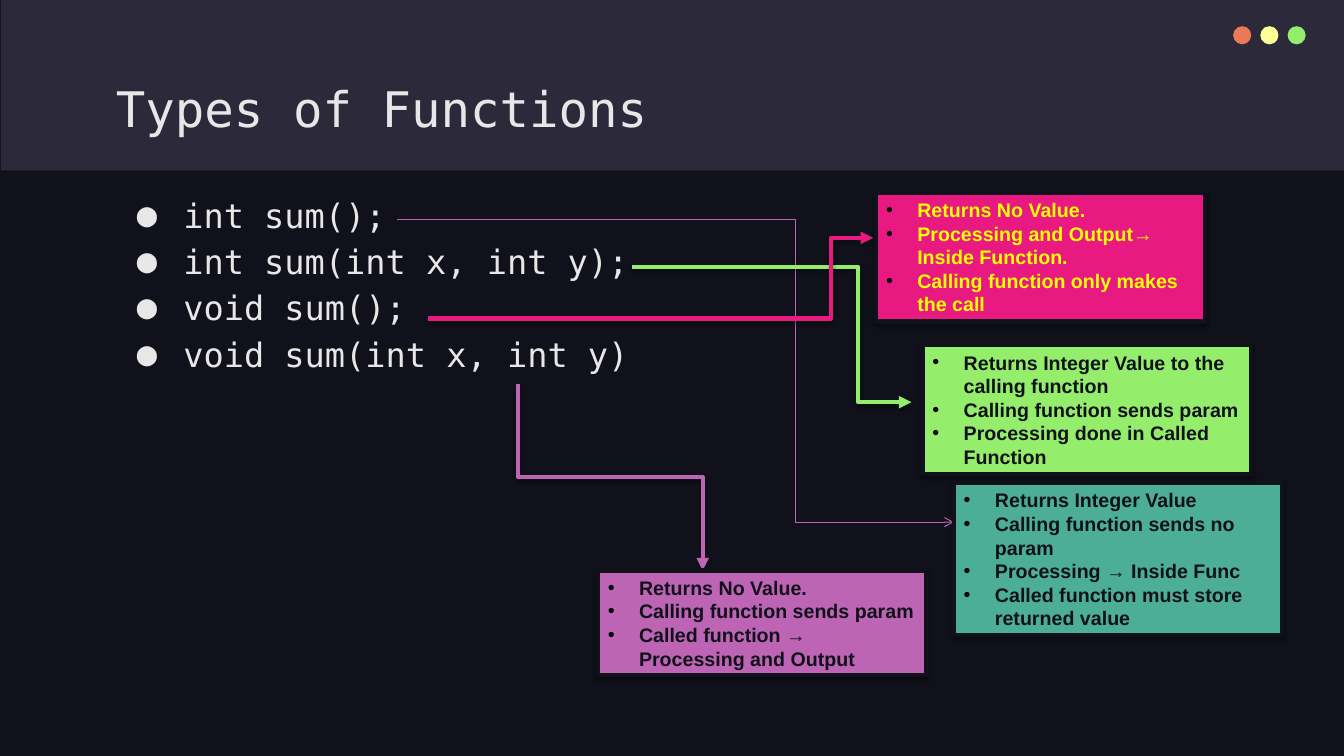
from dataclasses import dataclass

from lxml.etree import SubElement, _Element
from pptx import Presentation
from pptx.dml.color import RGBColor
from pptx.enum.shapes import MSO_CONNECTOR, MSO_SHAPE
from pptx.enum.text import MSO_ANCHOR, MSO_AUTO_SIZE, PP_ALIGN
from pptx.oxml.ns import qn
from pptx.shapes.autoshape import Shape
from pptx.slide import Slide
from pptx.text.text import TextFrame, _Paragraph
from pptx.util import Emu, Pt

EMU_PER_PX = 9144


@dataclass(frozen=True)
class Theme:
    background: str = "10111A"
    band: str = "2C293A"
    light: str = "E7E7E7"
    bullet: str = "000000"
    orange: str = "EC7955"
    cream: str = "FFFF99"
    green: str = "94EE6B"
    teal: str = "4CAE97"
    pink: str = "E81A81"
    purple: str = "BD64B5"
    yellow: str = "FFFF00"
    code_font: str = "DejaVu Sans Mono"
    note_font: str = "Arial"
    title_size: int = 35
    code_size: int = 24
    note_size: int = 14


THEME = Theme()


@dataclass(frozen=True)
class Box:
    left: int
    top: int
    width: int
    height: int

    def emu(self) -> tuple[Emu, Emu, Emu, Emu]:
        return px(self.left), px(self.top), px(self.width), px(self.height)


@dataclass(frozen=True)
class Note:
    box: Box
    fill: str
    lines: tuple[str, ...]
    color: str = THEME.background


@dataclass(frozen=True)
class Arrow:
    begin: tuple[int, int]
    end: tuple[int, int]
    color: str
    bend: float
    weight: float = 3
    head: str = "triangle"
    starts_down: bool = False
    shadow: bool = True


DOTS = (THEME.orange, THEME.cream, THEME.green)
PROTOTYPES = ("int sum();", "int sum(int x, int y);", "void sum();", "void sum(int x, int y)")
CALLOUTS = (
    (
        Arrow((394, 218), (946, 518), THEME.purple, 0.715, 0.75, "arrow", shadow=False),
        Note(Box(946, 479, 326, 151), THEME.teal, (
            "Returns Integer Value",
            "Calling function sends no param",
            "Processing → Inside Func",
            "Called function must store returned value",
        )),
    ),
    (
        Arrow((627, 265), (904, 399), THEME.green, 0.81),
        Note(Box(915, 342, 326, 128), THEME.green, (
            "Returns Integer Value to the calling function",
            "Calling function sends param",
            "Processing done in Called Function",
        )),
    ),
    (
        Arrow((424, 316), (866, 236), THEME.pink, 0.905),
        Note(Box(869, 191, 326, 128), THEME.pink, (
            "Returns No Value.",
            "Processing and Output→ Inside Function.",
            "Calling function only makes the call",
        ), THEME.yellow),
    ),
    (
        Arrow((514, 381), (697, 566), THEME.purple, 0.5, starts_down=True),
        Note(Box(593, 566, 326, 104), THEME.purple, (
            "Returns No Value.",
            "Calling function sends param",
            "Called function → Processing and Output",
        )),
    ),
)


def px(length: float) -> Emu:
    return Emu(round(length * EMU_PER_PX))


def rgb(color: str) -> RGBColor:
    return RGBColor.from_string(color)


def add_effects(properties: _Element, opacity: int) -> None:
    effects = SubElement(properties, qn("a:effectLst"))
    if opacity:
        shadow = SubElement(effects, qn("a:outerShdw"), blurRad=str(Pt(3.1)),
                            dist=str(Pt(1.7)), dir="5400000", rotWithShape="0")
        color = SubElement(shadow, qn("a:srgbClr"), val="000000")
        SubElement(color, qn("a:alpha"), val=str(opacity * 1000))


def style_paragraph(paragraph: _Paragraph, font: str, size: int, color: str, bold: bool = False) -> None:
    paragraph.alignment = PP_ALIGN.LEFT
    paragraph.font.name = font
    paragraph.font.size = Pt(size)
    paragraph.font.bold = bold
    paragraph.font.color.rgb = rgb(color)


def add_bullet(paragraph: _Paragraph, symbol: str, color: str, font: str, margin: int, hanging: int) -> None:
    properties = paragraph._p.get_or_add_pPr()
    properties.set("marL", str(px(margin)))
    properties.set("indent", str(-px(hanging)))
    SubElement(SubElement(properties, qn("a:buClr")), qn("a:srgbClr"), val=color)
    SubElement(properties, qn("a:buFont"), typeface=font)
    SubElement(properties, qn("a:buChar"), char=symbol)


def fill_lines(frame: TextFrame, lines: tuple[str, ...]) -> None:
    frame.word_wrap = True
    frame.text = "\n".join(lines)


def add_plain_shape(slide: Slide, kind: MSO_SHAPE, box: Box, color: str) -> Shape:
    shape = slide.shapes.add_shape(kind, *box.emu())
    shape.fill.solid()
    shape.fill.fore_color.rgb = rgb(color)
    shape.line.fill.background()
    shape.shadow.inherit = False
    return shape


def add_title(slide: Slide, text: str) -> None:
    title = slide.shapes.title
    title.left, title.top, title.width, title.height = Box(105, 65, 1123, 84).emu()
    slide.shapes._spTree.append(title._element)
    frame = title.text_frame
    frame.text = text
    frame.auto_size = MSO_AUTO_SIZE.NONE
    frame.vertical_anchor = MSO_ANCHOR.MIDDLE
    style_paragraph(frame.paragraphs[0], THEME.code_font, THEME.title_size, THEME.light)


def add_prototypes(slide: Slide) -> None:
    frame = slide.shapes.add_textbox(*Box(105, 177, 758, 232).emu()).text_frame
    frame.margin_top = frame.margin_bottom = px(10)
    fill_lines(frame, PROTOTYPES)
    for paragraph in frame.paragraphs:
        add_bullet(paragraph, "●", THEME.light, THEME.code_font, 67, 46)
        paragraph.line_spacing = 1.15
        style_paragraph(paragraph, THEME.code_font, THEME.code_size, THEME.light)


def add_arrow(slide: Slide, arrow: Arrow) -> None:
    begin, end = arrow.begin, arrow.end
    if arrow.starts_down:
        center_x, center_y = (begin[0] + end[0]) / 2, (begin[1] + end[1]) / 2
        half_width, half_height = (end[1] - begin[1]) / 2, (end[0] - begin[0]) / 2
        begin = center_x + half_width, center_y - half_height
        end = center_x - half_width, center_y + half_height
    connector = slide.shapes.add_connector(MSO_CONNECTOR.ELBOW, *map(px, begin + end))
    connector.line.color.rgb = rgb(arrow.color)
    connector.line.width = Pt(arrow.weight)
    properties = connector._element.spPr
    if arrow.starts_down:
        properties.find(qn("a:xfrm")).set("rot", "16200000")
    adjustments = properties.find(qn("a:prstGeom")).find(qn("a:avLst"))
    SubElement(adjustments, qn("a:gd"), name="adj1", fmla=f"val {round(arrow.bend * 100000)}")
    SubElement(properties.find(qn("a:ln")), qn("a:tailEnd"), type=arrow.head)
    add_effects(properties, 35 if arrow.shadow else 0)


def add_note(slide: Slide, note: Note) -> None:
    shape = slide.shapes.add_shape(MSO_SHAPE.RECTANGLE, *note.box.emu())
    shape.fill.solid()
    shape.fill.fore_color.rgb = rgb(note.fill)
    shape.line.color.rgb = rgb(THEME.background)
    shape.line.width = Pt(3)
    add_effects(shape._element.spPr, 38)
    frame = shape.text_frame
    fill_lines(frame, note.lines)
    frame.vertical_anchor = MSO_ANCHOR.MIDDLE
    for paragraph in frame.paragraphs:
        add_bullet(paragraph, "•", THEME.bullet, THEME.note_font, 31, 31)
        style_paragraph(paragraph, THEME.note_font, THEME.note_size, note.color, bold=True)


def main() -> None:
    presentation = Presentation()
    presentation.slide_width, presentation.slide_height = px(1333), px(750)
    slide = presentation.slides.add_slide(presentation.slide_layouts[5])
    slide.background.fill.solid()
    slide.background.fill.fore_color.rgb = rgb(THEME.background)
    add_plain_shape(slide, MSO_SHAPE.RECTANGLE, Box(1, 0, 1332, 169), THEME.band)
    for index, color in enumerate(DOTS):
        add_plain_shape(slide, MSO_SHAPE.OVAL, Box(1223 + 27 * index, 26, 18, 18), color)
    add_title(slide, "Types of Functions")
    add_prototypes(slide)
    for arrow, note in CALLOUTS:
        add_arrow(slide, arrow)
        add_note(slide, note)
    presentation.save("out.pptx")


if __name__ == "__main__":
    main()
